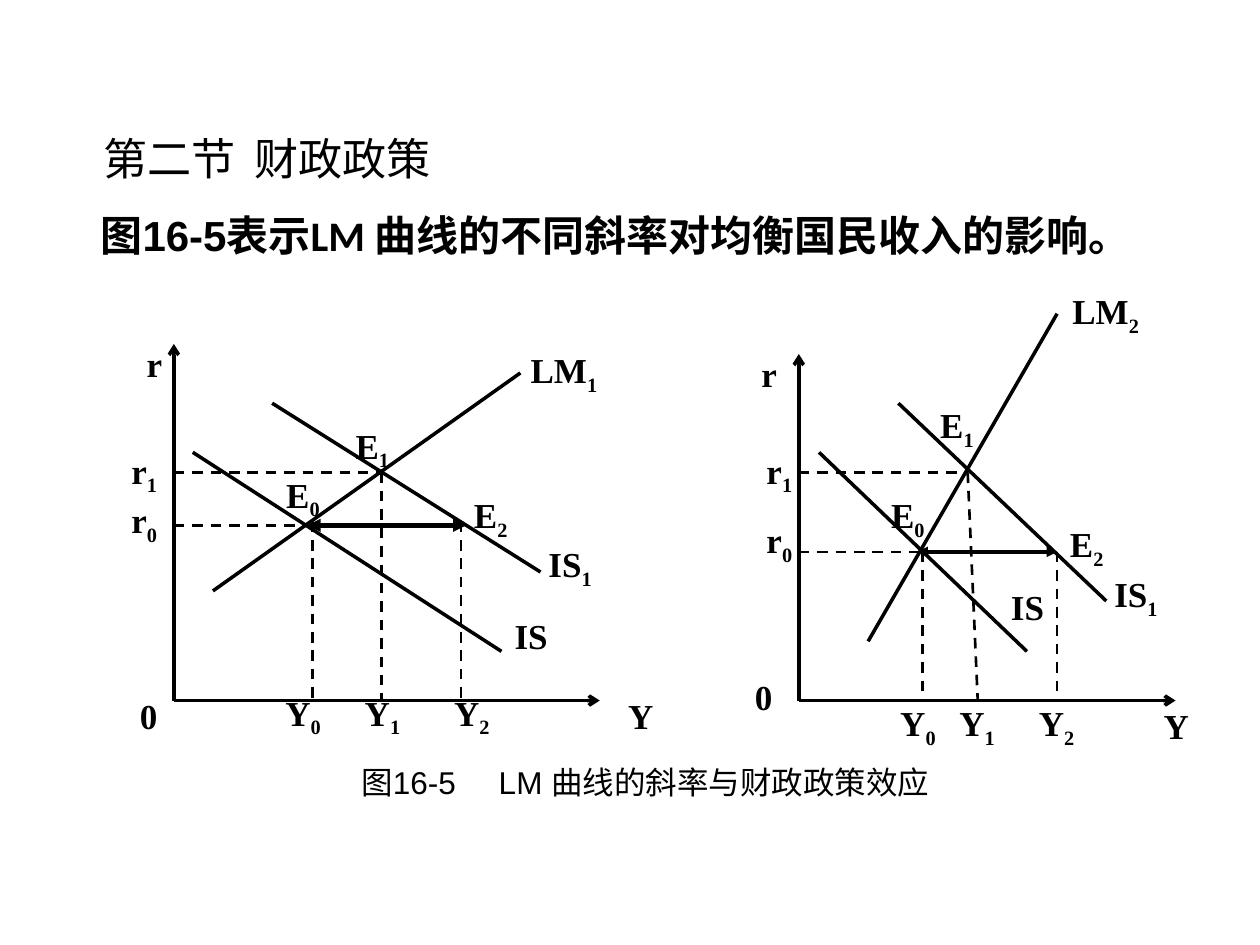
from pptx import Presentation
from pptx.dml.color import RGBColor
from pptx.enum.dml import MSO_LINE
from pptx.enum.shapes import MSO_CONNECTOR
from pptx.enum.text import MSO_ANCHOR as Anchor, PP_ALIGN as Align
from pptx.oxml.ns import qn
from pptx.util import Emu, Pt
from lxml.etree import SubElement

PX = 9144  # 100 px to the inch
BLACK = RGBColor.from_string("000000")

deck = Presentation()
deck.slide_width, deck.slide_height = Emu(1000 * PX), Emu(750 * PX)
page = deck.slides.add_slide(deck.slide_layouts[6])


def add_line(x1, y1, x2, y2, width=2, dashed=False, head=None, tail=None):
    line = page.shapes.add_connector(
        MSO_CONNECTOR.STRAIGHT, *(Emu(v * PX) for v in (x1, y1, x2, y2)))
    line.line.color.rgb = BLACK
    line.line.width = Pt(width)
    if dashed:
        line.line.dash_style = MSO_LINE.DASH
    outline = line.line._get_or_add_ln()
    for tag, arrow in (("a:headEnd", head), ("a:tailEnd", tail)):
        if arrow:
            SubElement(outline, qn(tag), type=arrow)
    SubElement(line._element.spPr, qn("a:effectLst"))


def add_text(left, top, width, height, spans, size, font="Arial", bold=False,
             align=Align.LEFT, anchor=Anchor.TOP, tab=None):
    """Spans are (text, font or None, baseline or None)."""
    box = page.shapes.add_textbox(*(Emu(v * PX) for v in (left, top, width, height)))
    frame = box.text_frame
    frame.word_wrap = True
    frame.vertical_anchor = anchor
    para = frame.paragraphs[0]
    para.alignment = align
    if tab:
        stops = SubElement(para._p.get_or_add_pPr(), qn("a:tabLst"))
        SubElement(stops, qn("a:tab"), pos=str(tab * PX), algn="l")
    para.font.size, para.font.bold, para.font.name = Pt(size), bold, font
    para.font.color.rgb = BLACK
    for text, name, baseline in spans:
        span = para.add_run()
        span.text = text
        if name:
            span.font.name = name
        if baseline:
            span._r.get_or_add_rPr().set("baseline", str(baseline))


# Axes of both diagrams
for left, top, right in ((138, 273, 476), (634, 281, 933)):
    add_line(left, 556, left, top, tail="arrow")
    add_line(left, 556, right, 556, tail="arrow")

# IS, IS1 and LM curves
for curve in (
    (153, 359, 398, 517), (216, 320, 429, 454), (169, 469, 413, 296),
    (650, 359, 815, 517), (713, 320, 878, 477), (689, 509, 839, 249),
):
    add_line(*curve)

# Dashed guides to the axes
for guide in (
    (366, 414, 366, 556), (303, 375, 303, 556), (248, 414, 248, 556),
    (138, 375, 303, 375), (138, 417, 240, 417),
    (732, 438, 732, 556), (839, 438, 839, 556), (768, 375, 776, 556),
    (634, 375, 768, 375), (634, 438, 736, 438),
):
    add_line(*guide, width=1.5, dashed=True)

# Shift from E0 to E2
add_line(244, 417, 370, 417, width=2.5, head="triangle", tail="triangle")
add_line(728, 438, 839, 438, head="triangle", tail="triangle")

# Labels: letter, subscript, left, top
labels = (
    ("0", "", 67, 540), ("Y", "", 469, 540), ("r", "", 83, 257),
    ("LM", "1", 408, 268), ("IS", "1", 413, 422), ("IS", "", 382, 477),
    ("E", "0", 201, 367), ("E", "1", 256, 328), ("E", "2", 350, 383),
    ("Y", "0", 201, 540), ("Y", "1", 264, 540), ("Y", "2", 335, 540),
    ("r", "1", 75, 344), ("r", "0", 75, 383),
    ("0", "", 555, 525), ("Y", "", 894, 548), ("r", "", 571, 265),
    ("LM", "2", 838, 221), ("IS", "1", 862, 446), ("IS", "", 776, 454),
    ("E", "0", 681, 383), ("E", "1", 720, 312), ("E", "2", 823, 406),
    ("Y", "0", 689, 548), ("Y", "1", 736, 548), ("Y", "2", 799, 548),
    ("r", "1", 579, 344), ("r", "0", 579, 399),
)
for letter, subscript, left, top in labels:
    spans = [(letter, None, None)]
    if subscript:
        spans.append((subscript, None, -25000))
    add_text(left, top, 102 if letter == "0" else 79, 63 if letter == "r" else 55,
             spans, 20, "Times New Roman", True, Align.CENTER, Anchor.MIDDLE)

# Heading, lead sentence and caption
add_text(72, 99, 812, 181, [("第二节\t财政政策", None, None)], 25.2, tab=120)
add_text(70, 161, 900, 50, [
    ("图16-5表示", "Arial", None),
    ("LM ", "Calibri", None),
    ("曲线的不同斜率对均衡国民收入的影响。", "Arial", None),
], 24, bold=True)
add_text(277, 601, 480, 40, [("图16-5\tLM 曲线的斜率与财政政策效应", None, None)], 18, tab=109)

deck.save("out.pptx")
